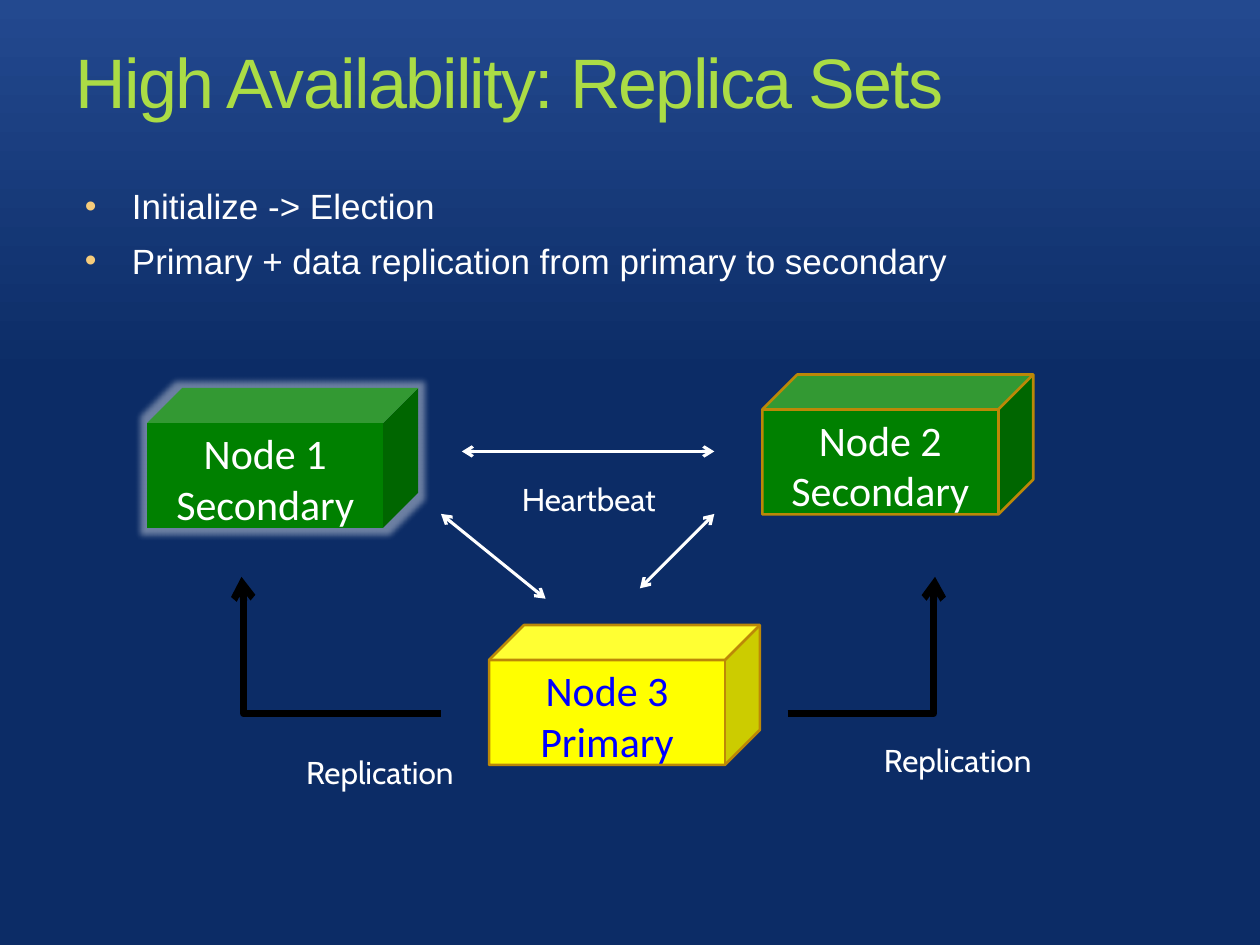
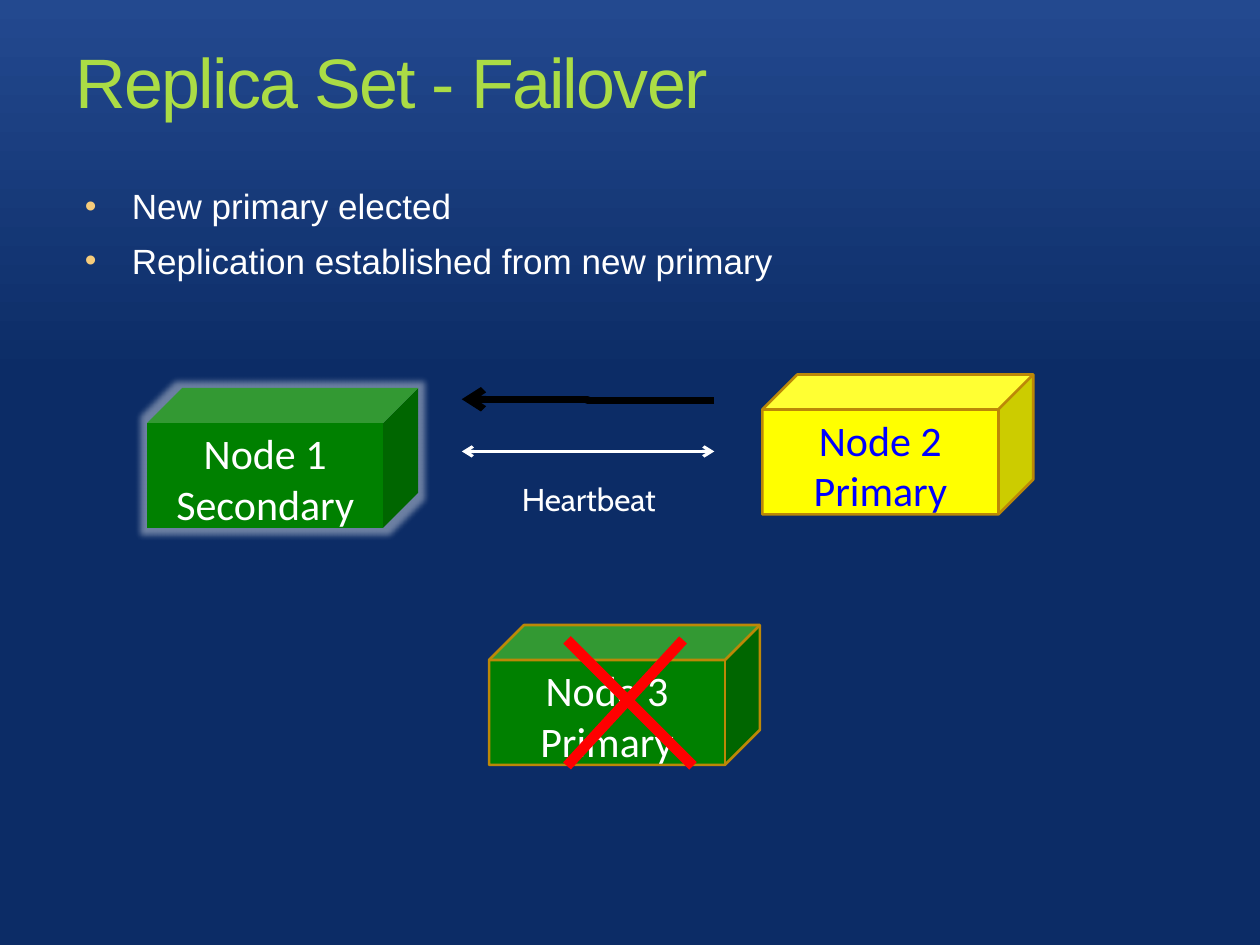
"""Build two slides on replica sets and failover."""
import pptx
import pptx.dml.color
import pptx.enum.shapes
import pptx.enum.text
import pptx.oxml.ns
import pptx.util
from lxml import etree

Cm, Pt = pptx.util.Cm, pptx.util.Pt
RGBColor = pptx.dml.color.RGBColor
qn = pptx.oxml.ns.qn
LINK = pptx.enum.shapes.MSO_CONNECTOR
ALIGN = pptx.enum.text.PP_ALIGN
ANCHOR = pptx.enum.text.MSO_ANCHOR
FIT = pptx.enum.text.MSO_AUTO_SIZE

NAVY = RGBColor(0x0C, 0x2C, 0x66)
SKY = RGBColor(0x23, 0x49, 0x8F)
LIME = RGBColor(0xAB, 0xDC, 0x45)
AMBER = RGBColor(0xF6, 0xCC, 0x7B)
GOLD = RGBColor(0xBC, 0x88, 0x07)
GREEN = RGBColor(0x00, 0x80, 0x00)
YELLOW = RGBColor(0xFF, 0xFF, 0x00)
BLUE = RGBColor(0x00, 0x00, 0xFF)
RED = RGBColor(0xFF, 0x00, 0x00)
BLACK = RGBColor(0x00, 0x00, 0x00)
WHITE = RGBColor(0xFF, 0xFF, 0xFF)

INK = {GREEN: WHITE, YELLOW: BLUE}
CUBE = (5.46, 2.82)
SPOTS = {"Node 1": (2.97, 7.82), "Node 2": (15.37, 7.55), "Node 3": (9.86, 12.6)}
GLOWING = "Node 1"

LINES = {
    "beat": dict(color=WHITE, width=1.75, ends=("headEnd", "tailEnd")),
    "copy": dict(color=BLACK, width=4, ends=("tailEnd",)),
    "cross": dict(color=RED, width=6, ends=()),
}
BEAT = ("beat", (14.4, 9.1), (9.31, 9.1), None)
PULSE = ("Heartbeat", 10.27, 9.55, 3.3)

SLIDES = [
    dict(
        title="High Availability: Replica Sets",
        points=["Initialize -> Election",
                "Primary + data replication from primary to secondary"],
        nodes=[("Node 1", "Secondary", GREEN),
               ("Node 2", "Secondary", GREEN),
               ("Node 3", "Primary", YELLOW)],
        links=[("copy", (8.89, 14.39), (4.87, 11.63), 0.99),
               ("copy", (15.88, 14.39), (18.85, 11.63), 0.99),
               ("beat", (8.89, 10.36), (11, 12.07), None),
               ("beat", (14.4, 10.36), (12.9, 11.86), None),
               BEAT],
        labels=[("Replication", 17.57, 14.81, 3.5),
                ("Replication", 5.92, 15.06, 3.5),
                PULSE],
    ),
    dict(
        title="Replica Set - Failover",
        points=["New primary elected",
                "Replication established from new primary"],
        nodes=[("Node 1", "Secondary", GREEN),
               ("Node 2", "Primary", YELLOW),
               ("Node 3", "Primary", GREEN)],
        links=[BEAT,
               ("cross", (11.43, 12.9), (13.97, 15.44), None),
               ("cross", (11.43, 15.44), (13.77, 12.9), None),
               ("copy", (14.4, 8.08), (9.31, 8.05), 0.5)],
        labels=[PULSE],
    ),
]


def sub(parent, tag, **attrs):
    """Add a drawing element with its attributes."""
    node = etree.SubElement(parent, qn("a:" + tag))
    for key, value in attrs.items():
        node.set(key, str(value))
    return node


def style(para, name, size, color):
    """Set the font of a whole paragraph."""
    para.font.name, para.font.size = name, Pt(size)
    para.font.color.rgb = color


def paint(master):
    """Give the master its gradient background."""
    fill = master.background.fill
    fill.gradient()
    fill.gradient_angle = 90
    for stop, place, color in zip(fill.gradient_stops, (0.6, 1), (NAVY, SKY)):
        stop.position, stop.color.rgb = place, color


def add_title(slide, text):
    """Place and format the title."""
    title = slide.shapes.title
    title.left, title.top = Cm(1.27), Cm(0.64)
    title.width, title.height = Cm(22.86), Cm(2.54)
    frame = title.text_frame
    frame.text = text
    frame.auto_size = FIT.NONE
    frame.vertical_anchor = ANCHOR.TOP
    para = frame.paragraphs[0]
    para.alignment = ALIGN.LEFT
    style(para, "Arial", 40, LIME)
    para.runs[0]._r.get_or_add_rPr().set("spc", "-100")


def add_points(slide, points):
    """Add the bulleted list."""
    box = slide.shapes.add_textbox(Cm(1.27), Cm(3.6), Cm(22.86), Cm(12.7))
    frame = box.text_frame
    frame.word_wrap = True
    frame.text = "\n".join(points)
    for para in frame.paragraphs:
        style(para, "Arial", 20, WHITE)
        para.space_before = Pt(7)
        props = para._p.get_or_add_pPr()
        props.set("marL", str(Cm(1.14)))
        props.set("indent", str(-Cm(0.95)))
        marks = [etree.Element(qn("a:" + tag))
                 for tag in ("buClr", "buSzPct", "buFont", "buChar")]
        sub(marks[0], "srgbClr", val=AMBER)
        marks[1].set("val", "95000")
        marks[2].set("typeface", "Arial")
        marks[3].set("char", "•")
        props.find(qn("a:spcBef")).addnext(marks[0])
        for prior, mark in zip(marks, marks[1:]):
            prior.addnext(mark)


def add_node(slide, name, role, color):
    """Add one server cube."""
    kind = pptx.enum.shapes.MSO_SHAPE.CUBE
    cube = slide.shapes.add_shape(kind, *map(Cm, SPOTS[name] + CUBE))
    cube.shadow.inherit = False
    cube.fill.solid()
    cube.fill.fore_color.rgb = color
    if name == GLOWING:
        cube.line.fill.background()
        effects = cube._element.spPr.find(qn("a:effectLst"))
        glow = sub(effects, "glow", rad=Cm(0.25))
        sub(sub(glow, "srgbClr", val=WHITE), "alpha", val=40000)
    else:
        cube.line.color.rgb = GOLD
        cube.line.width = Pt(1.5)
    frame = cube.text_frame
    frame.text = f"{name}\n{role}"
    frame.word_wrap = True
    frame.vertical_anchor = ANCHOR.TOP
    frame.margin_left = frame.margin_right = Cm(0.18)
    frame.margin_top = frame.margin_bottom = Cm(0.1)
    for para in frame.paragraphs:
        para.alignment = ALIGN.CENTER
        style(para, "Calibri", 24, INK[color])


def add_link(slide, kind, start, end, bend):
    """Add a straight line, or an elbow that turns at the bend."""
    look = LINES[kind]
    form = LINK.STRAIGHT if bend is None else LINK.ELBOW
    link = slide.shapes.add_connector(form, *map(Cm, start + end))
    link.line.color.rgb = look["color"]
    link.line.width = Pt(look["width"])
    props = link._element.spPr
    for tip in look["ends"]:
        sub(props.find(qn("a:ln")), tip, type="arrow")
    sub(props, "effectLst")
    if bend is not None:
        guides = props.find(qn("a:prstGeom")).find(qn("a:avLst"))
        sub(guides, "gd", name="adj1", fmla=f"val {round(bend * 100000)}")


def add_label(slide, text, left, top, width):
    """Add a caption beside a link."""
    box = slide.shapes.add_textbox(*map(Cm, (left, top, width, 1.02)))
    frame = box.text_frame
    frame.text = text
    frame.word_wrap = False
    frame.auto_size = FIT.SHAPE_TO_FIT_TEXT
    style(frame.paragraphs[0], "Cabin", 18, WHITE)


def main():
    """Build the deck."""
    deck = pptx.Presentation()
    deck.slide_width, deck.slide_height = Cm(25.4), Cm(19.05)
    paint(deck.slide_master)
    for page in SLIDES:
        slide = deck.slides.add_slide(deck.slide_layouts[5])
        add_title(slide, page["title"])
        add_points(slide, page["points"])
        for node in page["nodes"]:
            add_node(slide, *node)
        for link in page["links"]:
            add_link(slide, *link)
        for label in page["labels"]:
            add_label(slide, *label)
    deck.save("out.pptx")


if __name__ == "__main__":
    main()
